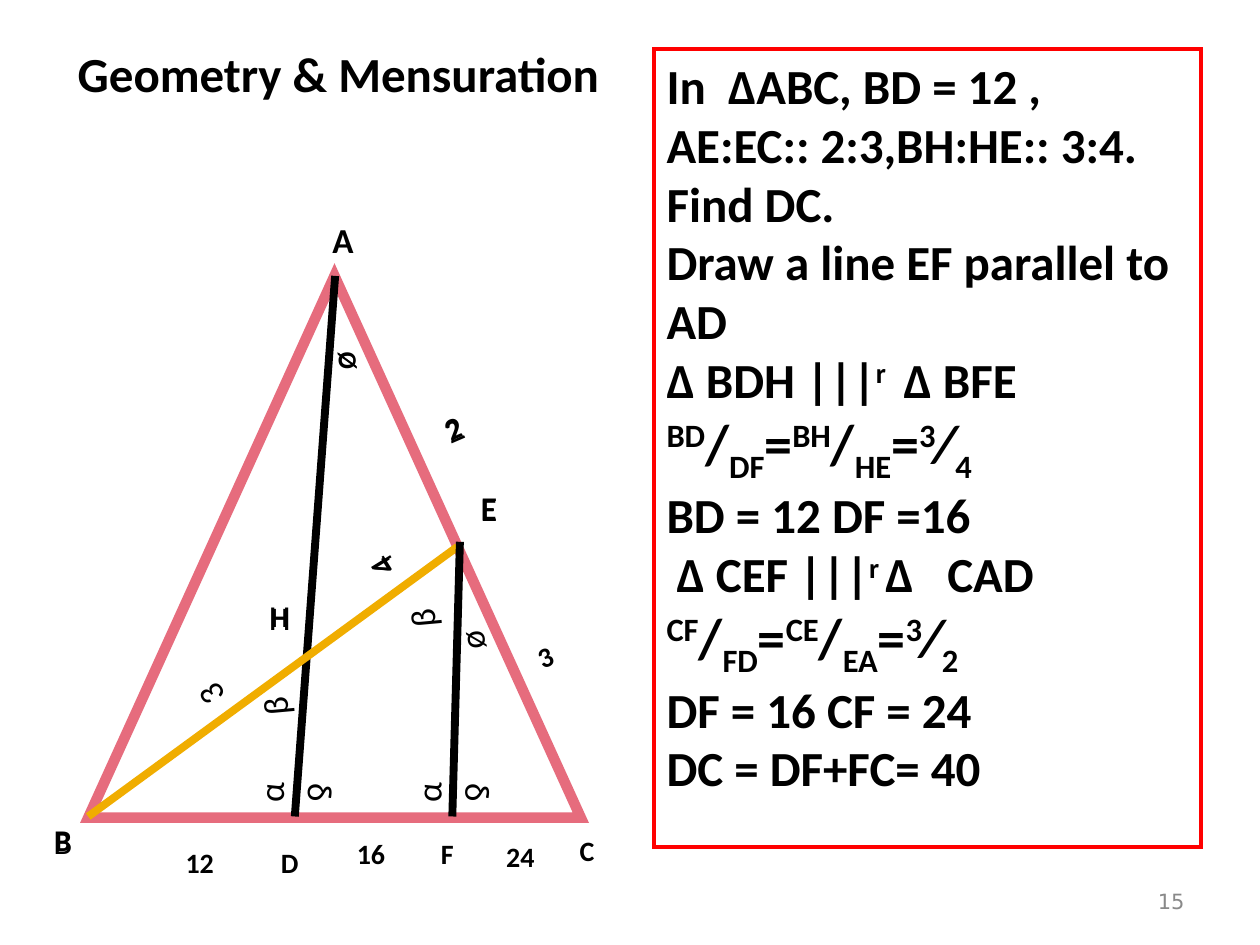
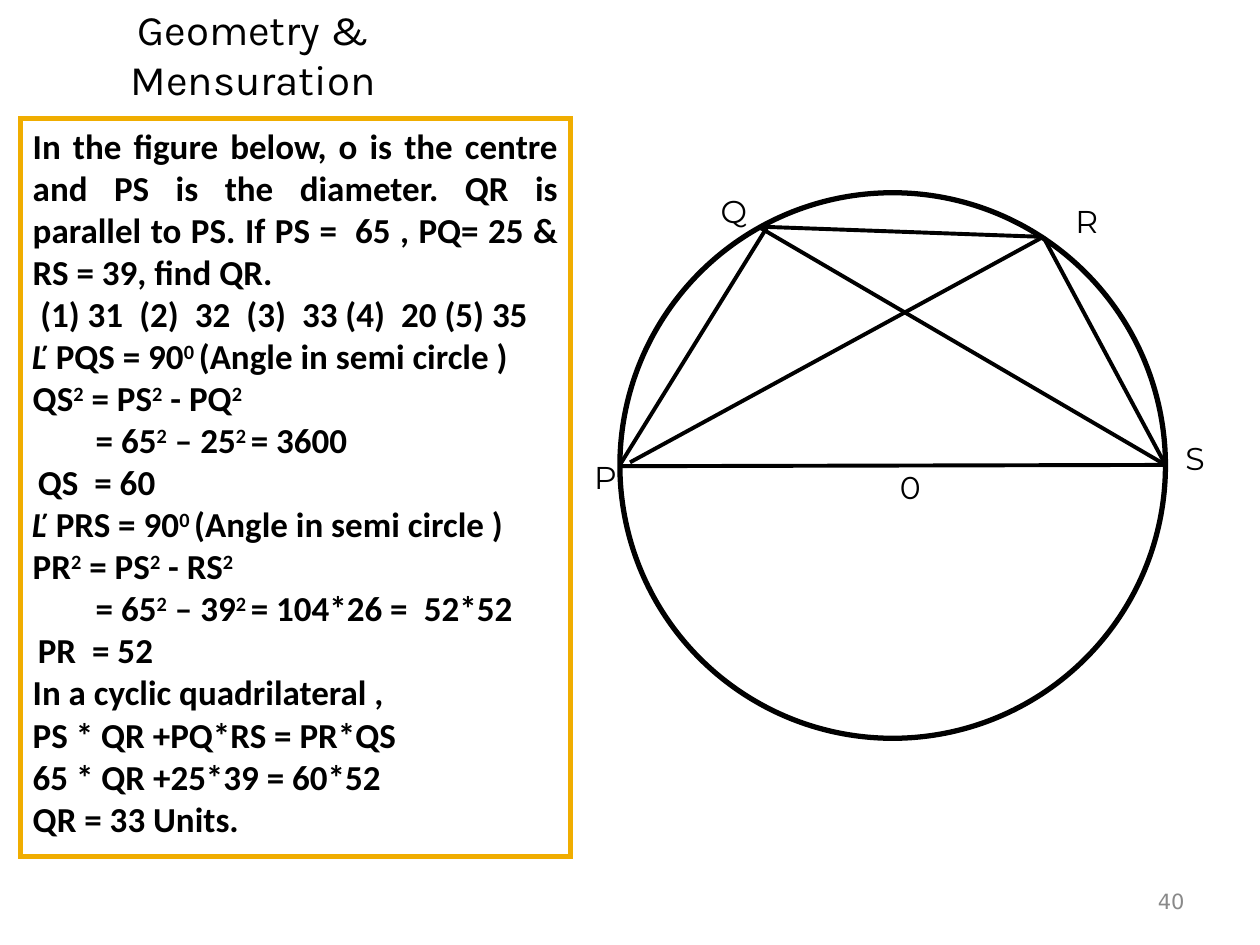
from lxml.etree import SubElement
from pptx import Presentation
from pptx.dml.color import RGBColor
from pptx.enum.shapes import MSO_CONNECTOR, MSO_SHAPE
from pptx.enum.text import MSO_ANCHOR, MSO_AUTO_SIZE, PP_ALIGN
from pptx.oxml.ns import qn
from pptx.util import Inches, Pt

HUES = {key: RGBColor.from_string(code) for key, code in {
    "ink": "000000", "red": "FF0000", "rose": "E66C7D",
    "gold": "F0AD00", "grey": "898989", "white": "FFFFFF"}.items()}
BASES = {"^": "30000", "_": "-25000"}
SPACE = 0.23

deck = Presentation()
deck.slide_width, deck.slide_height = Inches(10), Inches(7.5)
unit = deck.slide_width / 100


def grid(*spans):
    return [round(span * unit) for span in spans]


def write(para, text, size, face, bold=False, hue="ink", align=PP_ALIGN.CENTER):
    para.alignment = align
    font = para.font
    font.size, font.name, font.bold = Pt(size), face, bold
    font.color.rgb = HUES[hue]
    for index, part in enumerate(text.replace("}", "{").split("{")):
        if not part:
            continue
        run = para.add_run()
        if index % 2 == 0:
            run.text = part
            continue
        run.text = part.lstrip("^_~+")
        props = run._r.get_or_add_rPr()
        if part[0] in BASES:
            props.set("baseline", BASES[part[0]])
        if part[0] == "~":
            run.font.italic = True
        if "+" in part:
            props.set("spc", str(round(part.count("+") * SPACE * size * 100)))


twin = [(20, False), (16, True)]
plain, small, large = [(20, False)], [(16, True)], [(20, True)]

ratio = {
    "title": ("Geometry & Mensuration", 28, "Calibri", True),
    "head": (5, 3, 43.7, 5.6),
    "box": (51.9, 3.9, 43.4, 63.3),
    "edge": ("red", 2.25),
    "align": PP_ALIGN.LEFT,
    "rows": [
        (0, 28, "In{+ }∆ABC, BD = 12 ,"),
        (0, 28, "AE:EC:: 2:3,BH:HE:: 3:4. Find DC."),
        (0, 28, "Draw a line EF parallel to AD"),
        (0, 28, "∆ BDH |||{^r}{^+ }∆ BFE"),
        (0, 32, "{^BD}/{_DF}={^BH}/{_HE}={^3}⁄{_4}"),
        (0, 28, "BD = 12 DF =16"),
        (0.08, 28, "∆ CEF |||{^r }∆{++ }CAD"),
        (0, 32, "{^CF}/{_FD}={^CE}/{_EA}={^3}⁄{_2}"),
        (0, 28, "DF = 16 CF = 24"),
        (0, 28, "DC = DF+FC= 40")],
    "form": (MSO_SHAPE.ISOSCELES_TRIANGLE, (7, 21.9, 39.1, 43), "white", "rose", 6),
    "lines": [
        (26.6, 21.9, 23.4, 64.8, "ink"),
        (36.3, 43.4, 7, 64.8, "gold"),
        (36.5, 43, 35.9, 64.8, "ink")],
    "weight": 4.5,
    "face": "Calibri",
    "marks": [
        ("A", 25.4, 17.6, 2.8, 2.8, 0, large),
        ("B", 0, 61.7, 10, 10, 0, twin),
        ("D", 18, 63.4, 10, 10, 0, small),
        ("C", 41.6, 62.5, 10, 10, 0, small),
        ("E", 33.8, 35.3, 10, 10, 0, [(20, False), (18, True)]),
        ("H", 17.2, 43.9, 10, 10, 0, twin),
        ("F", 30.5, 62.7, 10, 10, 0, small),
        ("α", 18.7, 59.4, 5.5, 7, 270, plain),
        ("α", 31.2, 59.4, 5.5, 7, 270, plain),
        ("δ", 22.8, 59.4, 5.5, 7, 90, plain),
        ("δ", 35.3, 59.4, 5.5, 7, 90, plain),
        ("β", 30.7, 45.6, 5.5, 7, 264.8, plain),
        ("β", 19, 52.6, 5.5, 7, 264.8, plain),
        ("ø", 35.5, 47.1, 5.5, 7.3, 84.1, plain),
        ("ø", 23.9, 26.4, 8.2, 4.5, 90, [(20, False), (18, False)]),
        ("3", 13.9, 51.7, 5.5, 7, 238.3, plain),
        ("4", 27.5, 41.5, 5.5, 7, 238.3, twin),
        ("3", 40.5, 48.6, 5.5, 7, 336.7, small),
        ("2", 33.2, 30.5, 5.5, 7, 336.7, twin),
        ("12", 11.7, 64.8, 8.3, 7.3, 0, small),
        ("16", 25.3, 64.1, 8.3, 7.3, 0, small),
        ("24", 37.5, 64.8, 7.6, 6.3, 0, small)],
    "page": "15"}

note = [(18, False)]
circle = {
    "title": ("Geometry & Mensuration", 24, "Karla", False),
    "head": (1.6, 2.3, 37, 3.9),
    "box": (1.6, 9.4, 43.7, 58.6),
    "edge": ("gold", 3),
    "align": PP_ALIGN.JUSTIFY,
    "rows": [(lead, 20, text) for lead, text in [
        (0, "In the figure below, o is the centre and PS is the diameter. "
            "QR is parallel to PS. If PS ={+ }65 , PQ= 25 & RS = 39, find QR."),
        (0.06, "(1) 31{+ }(2){+ }32{+ }(3){+ }33 (4){+ }20 (5) 35"),
        (0, "{~Ľ }PQS = 90{^0 }(Angle in semi circle )"),
        (0, "QS{^2} = PS{^2} - PQ{^2}"),
        (0.5, "= 65{^2} – 25{^2 }= 3600"),
        (0.04, "QS{+ }= 60"),
        (0, "{~Ľ }PRS = 90{^0 }(Angle in semi circle )"),
        (0, "PR{^2} = PS{^2} - RS{^2}"),
        (0.5, "= 65{^2} – 39{^2 }= 104*26 ={+ }52*52"),
        (0.04, "PR{+ }= 52"),
        (0, "In a cyclic quadrilateral ,"),
        (0, "PS * QR +PQ*RS = PR*QS"),
        (0, "65 * QR +25*39 = 60*52"),
        (0, "QR = 33 Units.")]],
    "form": (MSO_SHAPE.OVAL, (49.2, 15.3, 43.3, 43.3), None, "ink", 3),
    "lines": [
        (49.2, 37, 92.5, 36.9, "ink"),
        (60.6, 18, 82.8, 18.8, "ink"),
        (60.2, 18, 92.5, 36.9, "ink"),
        (60.9, 18, 49.2, 36.9, "ink"),
        (82.8, 18.8, 92.5, 36.9, "ink"),
        (50, 36.7, 82.8, 18.8, "ink")],
    "weight": 2.25,
    "face": "Montserrat",
    "marks": [(text, x, y, 3.9, 3.9, 0, note) for text, x, y in [
        ("Q", 56.2, 14.8), ("P", 46.1, 35.9), ("S", 92.9, 34.4),
        ("R", 84.3, 15.6), ("0", 70.3, 36.7)]],
    "page": "40"}

for plan in (ratio, circle):
    slide = deck.slides.add_slide(deck.slide_layouts[1])
    shapes = slide.shapes

    head, box = shapes.title, slide.placeholders[1]
    for holder, key in ((head, "head"), (box, "box")):
        holder.left, holder.top, holder.width, holder.height = grid(*plan[key])
        holder.text_frame.auto_size = MSO_AUTO_SIZE.NONE
        holder.text_frame.word_wrap = True
    head.text_frame.vertical_anchor = MSO_ANCHOR.MIDDLE
    write(head.text_frame.paragraphs[0], *plan["title"])

    frame = box.text_frame
    frame.vertical_anchor = MSO_ANCHOR.TOP
    for index, (lead, size, text) in enumerate(plan["rows"]):
        para = frame.add_paragraph() if index else frame.paragraphs[0]
        para.space_before = Pt(0)
        props = para._p.get_or_add_pPr()
        props.set("marL", str(Inches(lead)))
        props.set("indent", "0")
        SubElement(props, qn("a:buNone"))
        write(para, text, size, "Calibri", True, align=plan["align"])

    kind, place, fill, *rim = plan["form"]
    form = shapes.add_shape(kind, *grid(*place))
    form.shadow.inherit = False
    if fill:
        form.fill.solid()
        form.fill.fore_color.rgb = HUES[fill]
    else:
        form.fill.background()

    for shape, (hue, weight) in ((box, plan["edge"]), (form, rim)):
        shape.line.color.rgb, shape.line.width = HUES[hue], Pt(weight)
        SubElement(shape._element.spPr.find(qn("a:ln")), qn("a:miter"), lim="800000")

    for *ends, hue in plan["lines"]:
        line = shapes.add_connector(MSO_CONNECTOR.STRAIGHT, *grid(*ends))
        line.line.color.rgb, line.line.width = HUES[hue], Pt(plan["weight"])
        SubElement(line._element.spPr, qn("a:effectLst"))

    for text, x, y, wide, high, turn, styles in plan["marks"]:
        for size, bold in styles:
            mark = shapes.add_textbox(*grid(x, y, wide, high))
            mark.rotation = turn
            mark.text_frame.word_wrap = True
            mark.text_frame.vertical_anchor = MSO_ANCHOR.MIDDLE
            write(mark.text_frame.paragraphs[0], text, size, plan["face"], bold)

    foot = shapes.add_textbox(*grid(71.7, 69.5, 23.3, 4))
    foot.text_frame.word_wrap = True
    foot.text_frame.vertical_anchor = MSO_ANCHOR.MIDDLE
    write(foot.text_frame.paragraphs[0], plan["page"], 12, "DejaVu Sans",
          hue="grey", align=PP_ALIGN.RIGHT)

deck.save("out.pptx")
